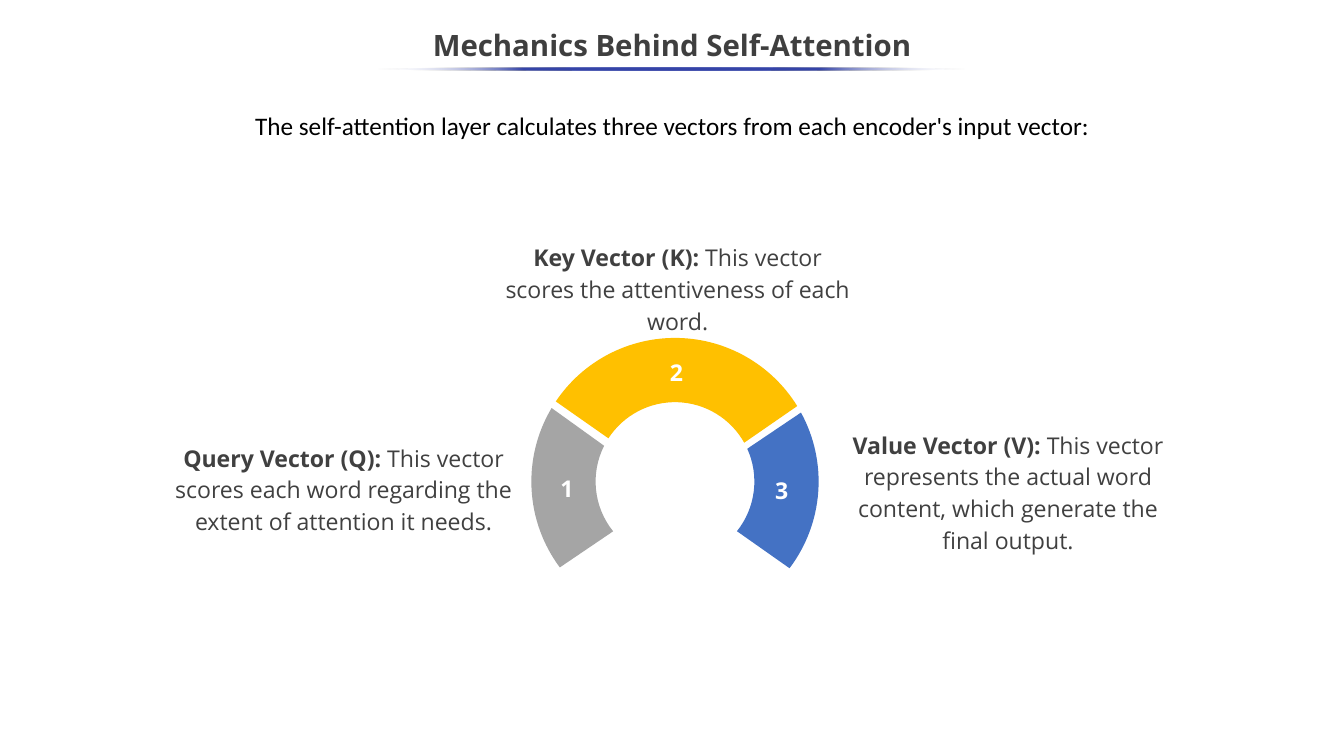
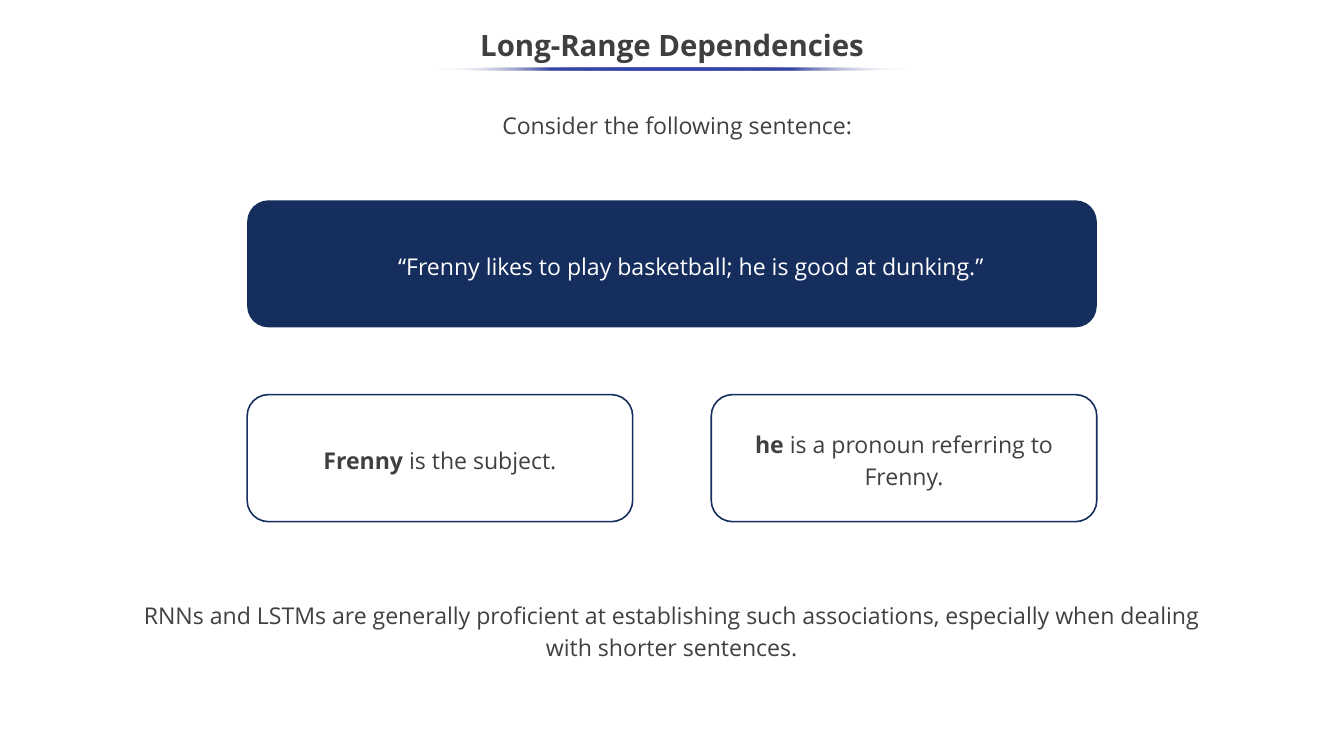
from math import cos, sin, tan, radians

from lxml import etree
from pptx import Presentation
from pptx.dml.color import RGBColor
from pptx.enum.shapes import MSO_SHAPE as Shape
from pptx.enum.text import MSO_ANCHOR as Anchor, PP_ALIGN as Align
from pptx.util import Pt

PX = 9144  # 100 px to the inch
WIDE, HIGH = 1778, 1000
FONT = "Open Sans"
INK = {
    "title": "3F3F3F", "body": "404040", "black": "000000", "white": "FFFFFF",
    "navy": "162E5D", "rule": "3645A9",
    "grey": "A5A5A5", "gold": "FFC000", "blue": "4472C4",
}
DML = "{http://schemas.openxmlformats.org/drawingml/2006/main}"


def rgb(name):
    return RGBColor.from_string(INK[name])


def emu(box):
    return [v * PX for v in box]


def write(shape, parts, size=22, ink="body", font=FONT, space=1.14, wrap=True):
    """Fill a shape with one centred paragraph of (text, bold) parts."""
    frame = shape.text_frame
    frame.word_wrap = wrap
    frame.vertical_anchor = Anchor.MIDDLE
    para = frame.paragraphs[0]
    para.alignment = Align.CENTER
    para.line_spacing = space
    for text, bold in parts:
        run = para.add_run()
        run.text = text
        run.font.name, run.font.size, run.font.bold = font, Pt(size), bold
        run.font.color.rgb = rgb(ink)
    return para


def label(slide, box, parts, **style):
    return write(slide.shapes.add_textbox(*emu(box)), parts, **style)


def paint(shape, fill=None, line=None):
    shape.shadow.inherit = False
    if fill:
        shape.fill.solid()
        shape.fill.fore_color.rgb = rgb(fill)
    else:
        shape.fill.background()
    if line:
        shape.line.color.rgb = rgb(line)
        shape.line.width = Pt(1.5)
    else:
        shape.line.fill.background()


def panel(slide, box, fill=None, line=None, round=0.167):
    shape = slide.shapes.add_shape(Shape.ROUNDED_RECTANGLE, *emu(box))
    shape.adjustments[0] = round
    paint(shape, fill, line)
    return shape


def lead(slide, box, text, **style):
    write(panel(slide, box, round=0.118), [(text, False)], space=1.15, **style)


def fade(shape):
    """Colour a shape with a band that is clear at both ends."""
    paint(shape)
    grad = etree.Element(DML + "gradFill", rotWithShape="1")
    stops = etree.SubElement(grad, DML + "gsLst")
    for pos in range(0, 101, 25):
        end = pos in (0, 100)
        stop = etree.SubElement(stops, DML + "gs", pos=str(pos * 1000))
        tint = etree.SubElement(stop, DML + "srgbClr",
                                val=INK["white" if end else "rule"])
        if end:
            etree.SubElement(tint, DML + "alpha", val="0")
    etree.SubElement(grad, DML + "lin", ang="10800000", scaled="0")
    props = shape.fill._xPr
    props.replace(props.find(DML + "noFill"), grad)


def start(deck, title):
    slide = deck.slides.add_slide(deck.slide_layouts[6])
    label(slide, (-1, 25, 1780, 75), [(title, True)],
          size=28, ink="title", space=0.9)
    return slide


def underline(slide, width):
    box = ((WIDE - width) // 2, 89, width, 4)
    fade(slide.shapes.add_shape(Shape.OVAL, *emu(box)))


def arc(mid, radius, first, last):
    """Give the start of an arc and the points of its two cubic curves."""
    x, y = mid
    step = radians(last - first) / 2
    pull = 4 / 3 * tan(step / 4)

    def dot(turn, lean):
        return (round((x + radius * (cos(turn) - lean * sin(turn))) * PX),
                round((y - radius * (sin(turn) + lean * cos(turn))) * PX))

    dots = [dot(radians(first), 0)]
    for i in range(2):
        turn = radians(first) + i * step
        dots += [dot(turn, pull), dot(turn + step, -pull), dot(turn + step, 0)]
    return dots


def bend(shape):
    """Turn the straight sides of a ring segment into its two arcs."""
    sides = list(shape._element.iter(DML + "lnTo"))
    for i in (0, 3, 7, 10):  # side 6 joins the two arcs
        curve = etree.Element(DML + "cubicBezTo")
        sides[i].addprevious(curve)
        for side in sides[i:i + 3]:
            curve.append(side[0])
            side.getparent().remove(side)


def ring(slide, box):
    """Draw three numbered segments of a ring inside a square box."""
    left, top, side, _ = box
    mid = left + side // 2, top + side // 2
    outer, inner = side // 2, 105
    # number, ink, outer angles, inner angles, corner of the number
    parts = [
        (2, "gold", (146.1, 31.7), (29.3, 147), (173, 22)),
        (3, "blue", (28.7, -37.1), (-38.7, 24.4), (312, 178)),
        (1, "grey", (216.7, 149.2), (153.2, 218.8), (28, 175)),
    ]
    for num, ink, out, back, (x, y) in parts:
        dots = arc(mid, outer, *out) + arc(mid, inner, *back)
        pen = slide.shapes.build_freeform(*dots[0])
        pen.add_line_segments(dots[1:], close=True)
        shape = pen.convert_to_shape()
        bend(shape)
        paint(shape, ink)
        label(slide, (left + x, top + y, 38, 47), [(str(num), True)],
              ink="white", space=1, wrap=False)


def cards(slide, box, items, gap):
    left, top, width, height = box
    each = (width - gap * (len(items) - 1)) // len(items)
    for i, parts in enumerate(items):
        spot = (left + i * (each + gap), top, each, height)
        write(panel(slide, spot, line="navy"), parts)


def vectors(deck):
    slide = start(deck, "Mechanics Behind Self-Attention")
    lead(slide, (233, 109, 1312, 107),
         "The self-attention layer calculates three vectors from each "
         "encoder's input vector:", size=24, ink="black", font="Calibri")
    ring(slide, (703, 447, 380, 380))
    notes = [
        ((1093, 561, 481, 176), "Value Vector (V): ",
         "This vector represents the actual word content, which generate "
         "the final output."),
        ((220, 578, 469, 134), "Query Vector (Q): ",
         "This vector scores each word regarding the extent of attention "
         "it needs."),
        ((656, 313, 481, 134), "Key Vector (K): ",
         "This vector scores the attentiveness of each word."),
    ]
    for box, name, text in notes:
        label(slide, box, [(name, True), (text, False)])
    underline(slide, 781)


def ranges(deck):
    slide = start(deck, "Long-Range Dependencies")
    lead(slide, (146, 109, 1500, 107), "Consider the following sentence:")
    quote = panel(slide, (327, 265, 1124, 168), fill="navy")
    para = write(quote, [("“Frenny likes to play basketball; he is good at "
                          "dunking.”", False)], ink="white")
    para.level = 1
    props = para._p.get_or_add_pPr()
    props.set("marL", str(50 * PX))
    props.set("indent", "0")
    cards(slide, (327, 522, 1124, 168), [
        [("Frenny ", True), ("is the subject.", False)],
        [("he ", True), ("is a pronoun referring to Frenny.", False)],
    ], gap=104)
    lead(slide, (176, 779, 1425, 107),
         "RNNs and LSTMs are generally proficient at establishing such "
         "associations, especially when dealing with shorter sentences.")
    underline(slide, 635)


def main():
    deck = Presentation()
    deck.slide_width, deck.slide_height = WIDE * PX, HIGH * PX
    vectors(deck)
    ranges(deck)
    deck.save("out.pptx")


if __name__ == "__main__":
    main()
